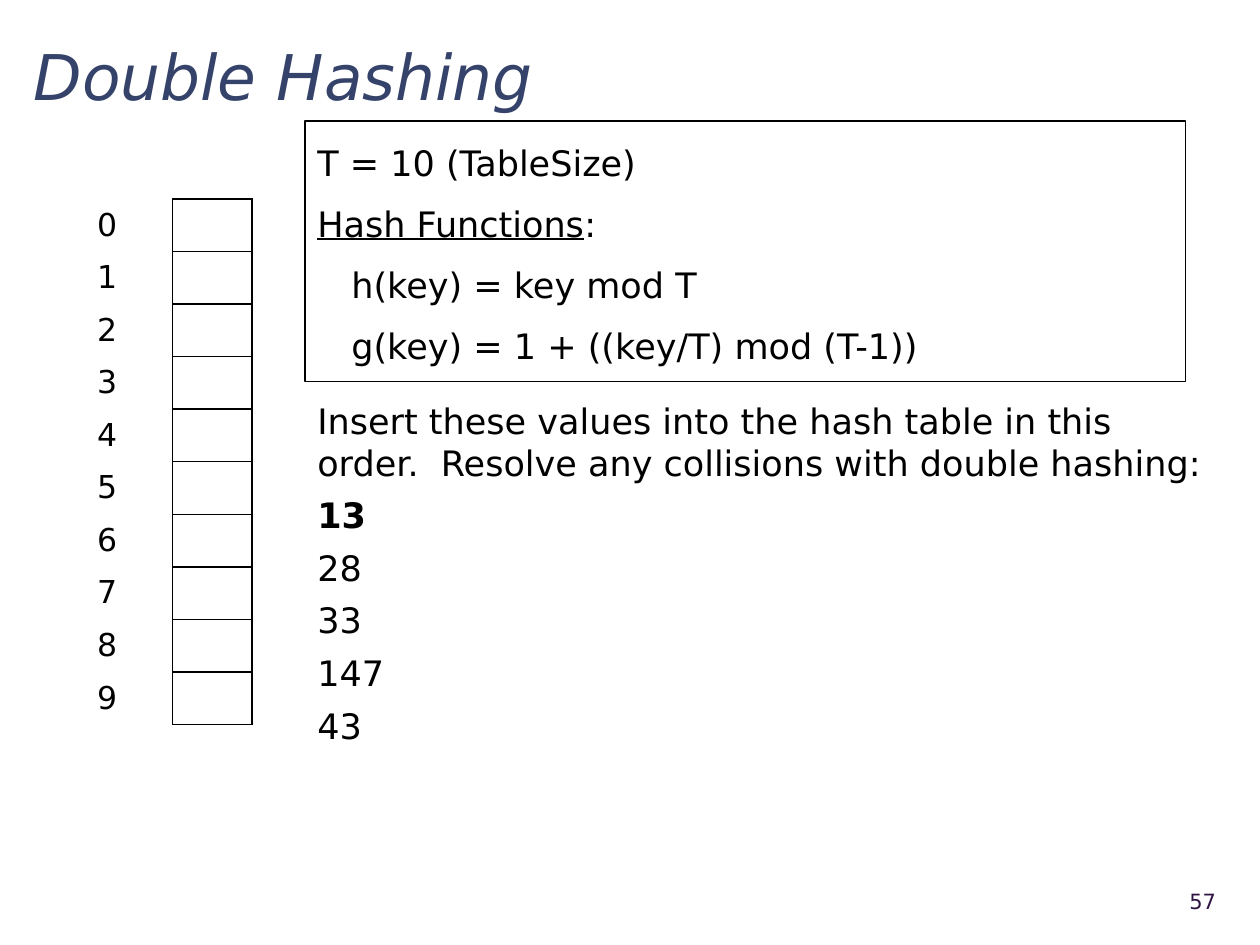
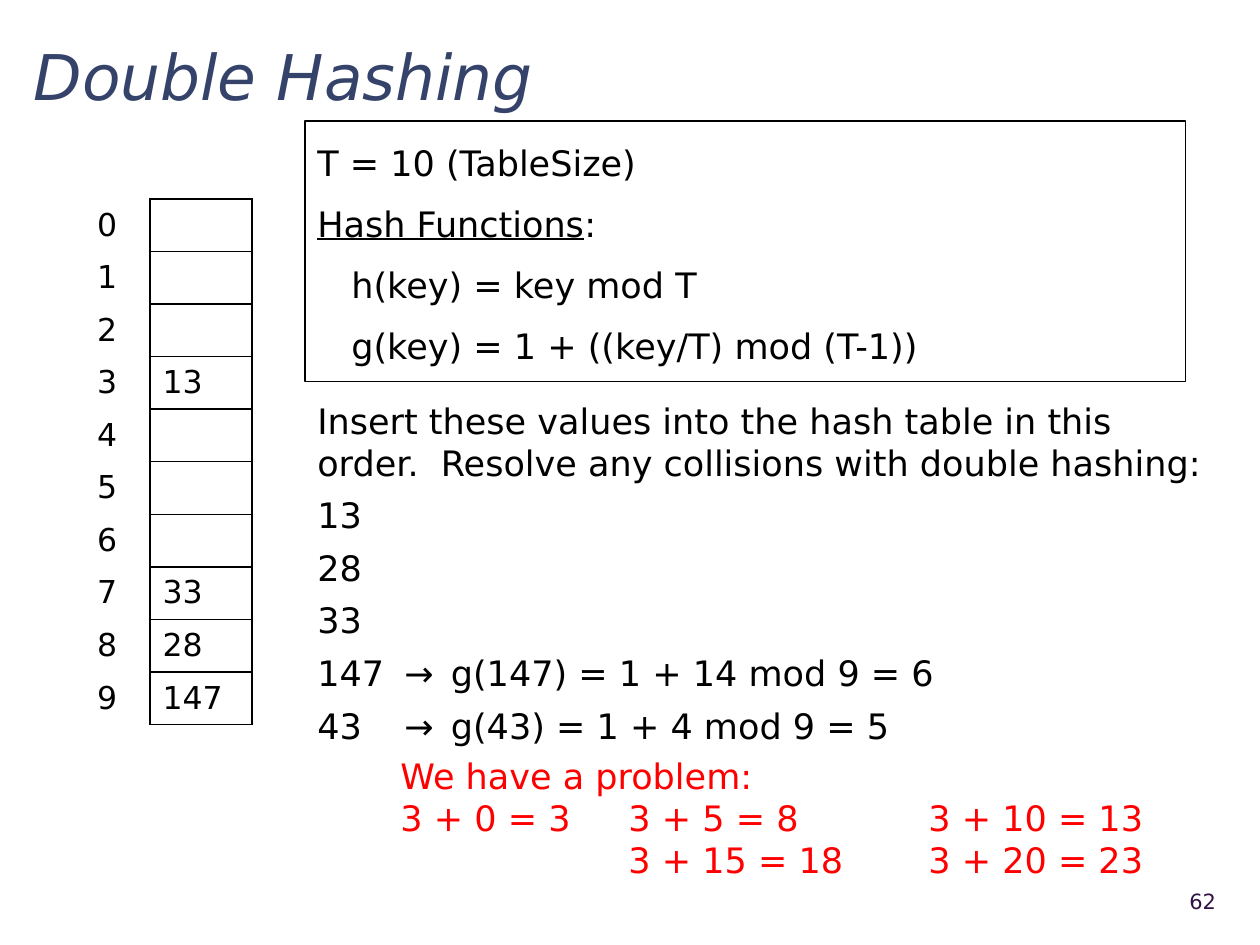
from lxml.etree import SubElement, Element
from pptx import Presentation
from pptx.dml.color import RGBColor
from pptx.enum.shapes import MSO_SHAPE
from pptx.enum.text import MSO_ANCHOR, PP_ALIGN
from pptx.oxml.ns import qn
from pptx.util import Inches, Pt

FONT = "DejaVu Sans"
BLACK, NAVY, PURPLE, RED = "000000", "35436A", "2F1343", "FF0000"
TITLE_BOX = (0.17, 0.19, 9.67, 0.75)
RULES_BOX = (2.42, 0.96, 6.99, 2.07)
TASK_BOX = (2.42, 3.12, 7.28, 2.88)
TABLE_BOX = (0.67, 1.58, 1.33, 4.17)
PROBLEM_BOX = (3.08, 5.94, 6.74, 1.11)
NUMBER_BOX = (8.89, 6.95, 0.86, 0.4)
TABLE_SIZE = 10
TASK = ("Insert these values into the hash table in this order.  "
        "Resolve any collisions with double hashing:")


def color(value):
    return RGBColor.from_string(value)


def format_runs(paragraph, size, font_color=BLACK):
    for run in paragraph.runs:
        run.font.name = FONT
        run.font.size = Pt(size)
        run.font.color.rgb = color(font_color)


def set_tabs(paragraph, positions):
    tab_list = SubElement(paragraph._p.get_or_add_pPr(), qn("a:tabLst"))
    for position in positions:
        SubElement(tab_list, qn("a:tab"), pos=str(Inches(position)), algn="l")


def set_hanging_indent(paragraph, left, first_line):
    properties = paragraph._p.get_or_add_pPr()
    properties.set("marL", str(Inches(left)))
    properties.set("indent", str(Inches(first_line)))


def add_text(slide, box, lines, size, font_color=BLACK, anchor=MSO_ANCHOR.TOP):
    shape = slide.shapes.add_textbox(*map(Inches, box))
    frame = shape.text_frame
    frame.word_wrap = True
    frame.vertical_anchor = anchor
    frame.text = "\n".join(lines)
    for paragraph in frame.paragraphs:
        format_runs(paragraph, size, font_color)
    return frame.paragraphs


def add_title(slide, box, title):
    paragraph = add_text(slide, box, [title], 36, NAVY, MSO_ANCHOR.MIDDLE)[0]
    paragraph.line_spacing = 1.1
    paragraph.runs[0].font.italic = True


def add_slide_number(slide, box, number):
    paragraph = add_text(slide, box, [str(number)], 12, PURPLE, MSO_ANCHOR.MIDDLE)[0]
    paragraph.alignment = PP_ALIGN.RIGHT


def add_hash_rules(slide, box):
    shape = slide.shapes.add_shape(MSO_SHAPE.RECTANGLE, *map(Inches, box))
    shape.shadow.inherit = False
    shape.fill.background()
    shape.line.color.rgb = color(BLACK)
    shape.line.width = Pt(0.75)
    frame = shape.text_frame
    frame.word_wrap = True
    frame.vertical_anchor = MSO_ANCHOR.TOP
    frame.margin_top = frame.margin_bottom = Inches(0.1)
    frame.text = ("T = 10 (TableSize)\nHash Functions\n"
                  "h(key) = key mod T\ng(key) = 1 + ((key/T) mod (T-1))")
    heading = frame.paragraphs[1]
    heading.runs[0].font.underline = True
    heading.add_run().text = ":"
    for index, paragraph in enumerate(frame.paragraphs):
        paragraph.alignment = PP_ALIGN.LEFT
        paragraph.line_spacing = 1.2
        paragraph.space_before = Pt(6)
        set_hanging_indent(paragraph, 0.38, -0.38 if index < 2 else -0.11)
        format_runs(paragraph, 20)


def add_insertions(slide, box, insertions, bold_value=None):
    lines = [TASK] + ["\t→\t".join(filter(None, item)) for item in insertions]
    for paragraph in add_text(slide, box, lines, 20):
        paragraph.space_before = Pt(6)
        if "\t" in paragraph.text:
            set_tabs(paragraph, (0.69, 1.06))
        paragraph.runs[0].font.bold = paragraph.text == bold_value


def set_borders(cell, black_sides):
    properties = cell._tc.get_or_add_tcPr()
    for index, side in enumerate("LRTB"):
        line = Element(qn(f"a:ln{side}"), w=str(Pt(1)))
        if side in black_sides:
            fill = SubElement(line, qn("a:solidFill"))
            SubElement(fill, qn("a:srgbClr"), val=BLACK)
        else:
            SubElement(line, qn("a:noFill"))
        properties.insert(index, line)


def add_hash_table(slide, box, index_width, stored):
    left, top, width, height = box
    table = slide.shapes.add_table(TABLE_SIZE, 2, *map(Inches, box)).table
    table.first_row = table.horz_banding = False
    table.columns[0].width = Inches(index_width)
    table.columns[1].width = Inches(width - index_width)
    for slot in range(TABLE_SIZE):
        table.rows[slot].height = Inches(height / TABLE_SIZE)
        texts = (str(slot), stored.get(slot, ""))
        for column, (text, sides) in enumerate(zip(texts, ("R", "LRTB"))):
            cell = table.cell(slot, column)
            cell.fill.background()
            set_borders(cell, sides)
            cell.vertical_anchor = MSO_ANCHOR.MIDDLE
            cell.text = text
            format_runs(cell.text_frame.paragraphs[0], 18)


def add_problem(slide, box):
    lines = ["We have a problem:",
             "3 + 0 = 3\t3 + 5 = 8\t3 + 10 = 13",
             "\t3 + 15 = 18\t3 + 20 = 23"]
    for paragraph in add_text(slide, box, lines, 20, RED):
        set_tabs(paragraph, (1.81, 4.19))


def add_hashing_slide(presentation, number, insertions, index_width, stored, bold_value=None):
    slide = presentation.slides.add_slide(presentation.slide_layouts[6])
    add_title(slide, TITLE_BOX, "Double Hashing")
    add_insertions(slide, TASK_BOX, insertions, bold_value)
    add_hash_rules(slide, RULES_BOX)
    add_slide_number(slide, NUMBER_BOX, number)
    add_hash_table(slide, TABLE_BOX, index_width, stored)
    return slide


def main():
    presentation = Presentation()
    presentation.slide_width = Inches(10)
    presentation.slide_height = Inches(7.5)

    values = [("13",), ("28",), ("33",), ("147",), ("43",)]
    add_hashing_slide(presentation, 57, values, 0.7, {}, bold_value="13")

    steps = values[:3] + [("147", "g(147) = 1 + 14 mod 9 = 6"),
                          ("43", "g(43) = 1 + 4 mod 9 = 5")]
    stored = {3: "13", 7: "33", 8: "28", 9: "147"}
    slide = add_hashing_slide(presentation, 62, steps, 0.52, stored)
    add_problem(slide, PROBLEM_BOX)

    presentation.save("out.pptx")


if __name__ == "__main__":
    main()
